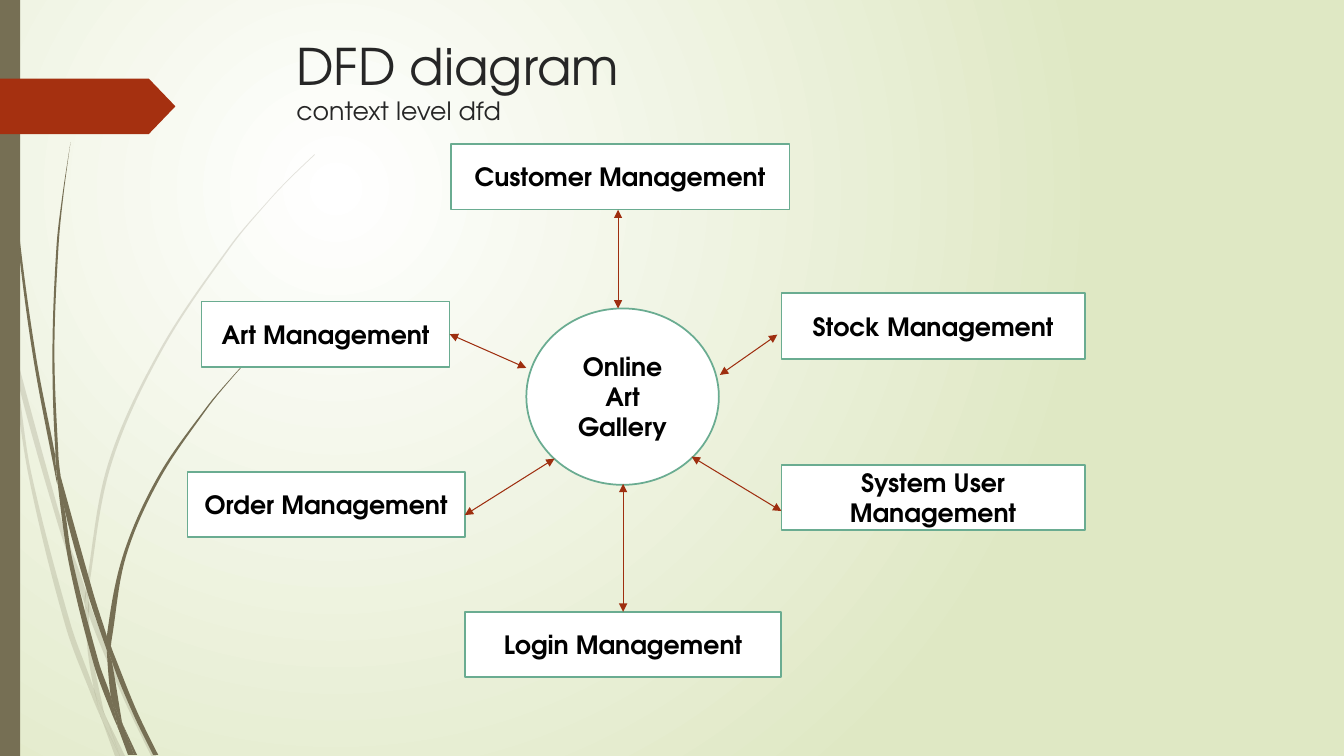
from math import hypot
from typing import NamedTuple

from lxml.etree import SubElement
from pptx import Presentation
from pptx.dml.color import RGBColor
from pptx.enum.shapes import MSO_CONNECTOR as Connector
from pptx.enum.shapes import MSO_SHAPE as Shape
from pptx.enum.text import MSO_ANCHOR as Anchor
from pptx.enum.text import PP_ALIGN as Align
from pptx.oxml.ns import qn
from pptx.util import Inches, Pt

FONT = "TeX Gyre Adventor"
WHITE, BLACK = RGBColor(0xFF, 0xFF, 0xFF), RGBColor(0, 0, 0)
CHARCOAL = RGBColor(0x26, 0x26, 0x26)
PALE_GREEN = RGBColor(0xDF, 0xE8, 0xC4)
OLIVE = RGBColor(0x76, 0x6F, 0x54)
RUST = RGBColor(0xA5, 0x30, 0x10)
DARK_RUST = RGBColor(0x9E, 0x2E, 0x0F)
TEAL = RGBColor(0x6A, 0xAC, 0x91)
TITLE_ONLY = 5
TOP, RIGHT = 0, 3


class Box(NamedTuple):
    left: float
    top: float
    width: float
    height: float

    def place(self, left, top, width=0, height=0):
        """Lengths for a part offset from this box's corner."""
        return [Inches(value) for value in (self.left + left, self.top + top, width, height)]


SLIDE = Box(0, 0, 13.33, 7.5)
TITLE = Box(2.84, 0.3, 9.75, 1.06)
DIAGRAM = Box(1.86, 1.43, 8.9, 5.29)

# Outlines of the grass blades, as points on the slide.
LIGHT_GRASS = [
    [(0.11, 3.5), (0.09, 3.22), (0, 2.82), (0, 2.99), (0.1, 3.44)],
    [(0.58, 5.22), (0.84, 5.99), (0.85, 5.86), (0.62, 5.2), (0.14, 3.45), (0.17, 3.76)],
    [(0.92, 6.07), (0.88, 5.96), (0.88, 6.1), (1.23, 6.94), (1.5, 7.5), (1.55, 7.5), (1.27, 6.92)],
    [(1.19, 7.5), (1.24, 7.5), (1.05, 7.11)],
    [(0.93, 6.83), (0.7, 6.19), (0.31, 4.69), (0.17, 3.76), (0.11, 3.5), (0.28, 4.7),
     (0.65, 6.21), (0.92, 6.93), (1.01, 7.14), (0.99, 7.07)],
    [(0.84, 5.99), (0.87, 6.46), (0.93, 6.83), (0.96, 6.92), (1.05, 7.11), (1.03, 7.06),
     (0.91, 6.46), (0.88, 6.1), (0.88, 6.08)],
    [(0.88, 5.84), (1.1, 4.62), (1.6, 3.49), (2.29, 2.45), (2.68, 1.98), (2.9, 1.75),
     (3.12, 1.54), (3.12, 1.53), (2.89, 1.75), (2.68, 1.97), (2.28, 2.44), (1.58, 3.48),
     (1.07, 4.61), (0.85, 5.84), (0.85, 5.86), (0.88, 5.96)],
    [(1.01, 7.14), (1.14, 7.5), (1.19, 7.5)],
    [(0.88, 6.08), (0.88, 6.1), (0.88, 5.96), (0.85, 5.86), (0.84, 5.99)],
    [(0.96, 6.92), (0.93, 6.83), (0.99, 7.07), (1.01, 7.14), (1.19, 7.5), (1.05, 7.11)],
]
DARK_GRASS = [
    [(0.07, 1.1), (0.17, 2.33), (0.33, 3.55), (0.56, 4.77), (0.57, 4.81), (0.55, 4.57),
     (0.55, 4.53), (0.36, 3.55), (0.19, 2.32), (0.08, 1.09), (0.05, 0.48), (0.04, 0),
     (0.03, 0), (0.04, 0.48)],
    [(0.88, 5.92), (1.06, 6.45), (1.06, 6.33), (1.06, 6.31), (0.93, 5.9), (0.6, 4.72),
     (0.64, 5.05)],
    [(1.13, 6.49), (1.1, 6.41), (1.11, 6.56), (1.32, 7.08), (1.52, 7.49), (1.57, 7.49),
     (1.36, 7.06)],
    [(1.1, 6.91), (0.98, 6.57), (0.72, 5.56), (0.64, 5.05), (0.57, 4.77), (0.68, 5.57),
     (0.93, 6.59), (1.11, 7.08), (1.17, 7.22), (1.16, 7.17)],
    [(0.6, 4.72), (0.58, 4.53), (0.54, 3.49), (0.58, 2.45), (0.63, 1.93), (0.7, 1.41),
     (0.62, 1.93), (0.56, 2.45), (0.52, 3.49), (0.55, 4.49)],
    [(1.33, 7.49), (1.36, 7.49), (1.22, 7.19)],
    [(0.57, 4.77), (0.64, 5.05), (0.6, 4.72), (0.55, 4.49), (0.55, 4.53)],
    [(1.11, 6.33), (1.25, 5.52), (1.58, 4.76), (2.05, 4.06), (2.31, 3.74), (2.45, 3.59),
     (2.61, 3.44), (2.6, 3.44), (2.45, 3.58), (2.31, 3.73), (2.04, 4.05), (1.56, 4.74),
     (1.22, 5.51), (1.06, 6.31), (1.1, 6.41)],
    [(1.17, 7.22), (1.27, 7.49), (1.31, 7.49)],
    [(1.06, 6.45), (1.1, 6.91), (1.16, 7.06), (1.22, 7.19), (1.21, 7.16), (1.11, 6.56),
     (1.09, 6.51)],
    [(1.06, 6.45), (1.09, 6.51), (1.11, 6.56), (1.1, 6.41), (1.06, 6.31), (1.06, 6.33)],
    [(1.16, 7.06), (1.1, 6.91), (1.16, 7.17), (1.17, 7.22), (1.3, 7.49), (1.33, 7.49),
     (1.22, 7.19)],
]

# Offsets from the corner of the diagram: left, top, width.
ENTITY_HEIGHT = 0.65
ENTITIES = {
    "Customer Management": (2.61, 0, 3.36),
    "Stock Management": (5.89, 1.48, 3.01),
    "System User Management": (5.89, 3.18, 3.01),
    "Art Management": (0.14, 1.56, 2.46),
    "Order Management": (0, 3.25, 2.75),
    "Login Management": (2.75, 4.64, 3.14),
}
# Begin point, end point, and the entity side that the arrow begins at.
FLOWS = [
    ((4.27, 0.65), (4.27, 1.63), None),
    ((5.85, 1.89), (5.28, 2.29), None),
    ((5, 3.1), (5.89, 3.64), None),
    ((4.32, 4.64), (4.32, 3.37), ("Login Management", TOP)),
    ((3.64, 3.12), (2.75, 3.68), None),
    ((2.61, 1.89), (3.36, 2.22), ("Art Management", RIGHT)),
]


def paint(shape, color):
    shape.shadow.inherit = False
    shape.fill.solid()
    shape.fill.fore_color.rgb = color
    shape.line.fill.background()


def format_run(run, size, color, bold=False):
    run.font.name, run.font.size, run.font.bold = FONT, Pt(size), bold
    run.font.color.rgb = color


def fill_background(slide):
    fill = slide.background.fill
    fill.gradient()
    for stop, color in zip(fill.gradient_stops, (WHITE, PALE_GREEN)):
        stop.color.rgb = color
    gradient = slide.background._cSld.find(".//" + qn("a:gradFill"))
    gradient.remove(gradient.find(qn("a:lin")))
    circle = SubElement(gradient, qn("a:path"), path="circle")
    SubElement(circle, qn("a:fillToRect"), l="50000", t="50000", r="100000", b="100000")


def direction(begin, end):
    dx, dy = end[0] - begin[0], end[1] - begin[1]
    length = hypot(dx, dy) or 1
    return dx / length, dy / length


def tangent(before, point, after):
    """Direction of the curve at a point, or none at a sharp corner."""
    (ax, ay), (bx, by) = direction(before, point), direction(point, after)
    return direction(before, after) if ax * bx + ay * by > 0.8 else (0, 0)


def round_edges(freeform):
    """Turn the straight edges of a closed outline into smooth curves."""
    edges = list(freeform._element.iter(qn("a:lnTo")))
    points = [(int(edge[0].get("x")), int(edge[0].get("y"))) for edge in edges]
    tangents = [tangent(points[i - 1], point, points[(i + 1) % len(points)])
                for i, point in enumerate(points)]
    for i, edge in enumerate(edges):
        begin, end = points[i - 1], points[i]
        reach = hypot(end[0] - begin[0], end[1] - begin[1]) / 3
        edge.tag = qn("a:cubicBezTo")
        for position, (anchor, slope, sign) in enumerate(
                ((begin, tangents[i - 1], 1), (end, tangents[i], -1))):
            x, y = (round(a + sign * reach * s) for a, s in zip(anchor, slope))
            control = SubElement(edge, qn("a:pt"), x=str(x), y=str(y))
            edge.insert(position, control)


def add_blade(slide, box, outline, opacity):
    points = [box.place(x, y)[:2] for x, y in outline]
    builder = slide.shapes.build_freeform(*points[0])
    builder.add_line_segments(points[1:] + points[:1], close=True)
    blade = builder.convert_to_shape()
    paint(blade, OLIVE)
    round_edges(blade)
    if opacity < 100:
        color = blade._element.spPr.find(".//" + qn("a:srgbClr"))
        SubElement(color, qn("a:alpha"), val=str(opacity * 1000))


def add_decoration(slide, box):
    for blades, opacity in ((LIGHT_GRASS, 20), (DARK_GRASS, 100)):
        for outline in blades:
            add_blade(slide, box, outline, opacity)
    paint(slide.shapes.add_shape(Shape.RECTANGLE, *box.place(0, 0, 0.2, box.height)), OLIVE)
    page_tag = slide.shapes.add_shape(Shape.PENTAGON, *box.place(0, 0.78, 1.74, 0.55))
    page_tag.adjustments[0] = 0.48
    paint(page_tag, RUST)


def add_title(slide, box):
    title = slide.shapes.title
    title.left, title.top, title.width, title.height = box.place(0, 0, box.width, box.height)
    frame = title.text_frame
    frame.text = "DFD diagram\vcontext level dfd"
    frame.vertical_anchor = Anchor.TOP
    frame.paragraphs[0].alignment = Align.LEFT
    for run, size in zip(frame.paragraphs[0].runs, (36, 18)):
        format_run(run, size, CHARCOAL)


def add_node(slide, kind, place, label):
    node = slide.shapes.add_shape(kind, *place)
    paint(node, WHITE)
    node.line.color.rgb, node.line.width = TEAL, Pt(1.25)
    frame = node.text_frame
    frame.text, frame.word_wrap, frame.vertical_anchor = label, True, Anchor.MIDDLE
    frame.paragraphs[0].alignment = Align.CENTER
    format_run(frame.paragraphs[0].runs[0], 18, BLACK, bold=True)
    return node


def add_flow(slide, begin, end):
    """Add an arrow with a head at both ends."""
    flow = slide.shapes.add_connector(Connector.STRAIGHT, *begin, *end)
    flow.line.color.rgb, flow.line.width = DARK_RUST, Pt(0.75)
    for tag in ("a:headEnd", "a:tailEnd"):
        SubElement(flow.line._get_or_add_ln(), qn(tag), type="triangle")
    SubElement(flow._element.spPr, qn("a:effectLst"))
    return flow


def add_context_diagram(slide, box):
    add_node(slide, Shape.OVAL, box.place(3.36, 1.63, 1.91, 1.75), "Online Art Gallery")
    entities = {label: add_node(slide, Shape.RECTANGLE, box.place(*offsets, ENTITY_HEIGHT), label)
                for label, offsets in ENTITIES.items()}
    for begin, end, joint in FLOWS:
        flow = add_flow(slide, box.place(*begin)[:2], box.place(*end)[:2])
        if joint:
            flow.begin_connect(entities[joint[0]], joint[1])


def main():
    presentation = Presentation()
    presentation.slide_width, presentation.slide_height = SLIDE.place(0, 0, *SLIDE[2:])[2:]
    slide = presentation.slides.add_slide(presentation.slide_layouts[TITLE_ONLY])
    fill_background(slide)
    add_decoration(slide, SLIDE)
    add_title(slide, TITLE)
    add_context_diagram(slide, DIAGRAM)
    presentation.save("out.pptx")


if __name__ == "__main__":
    main()
